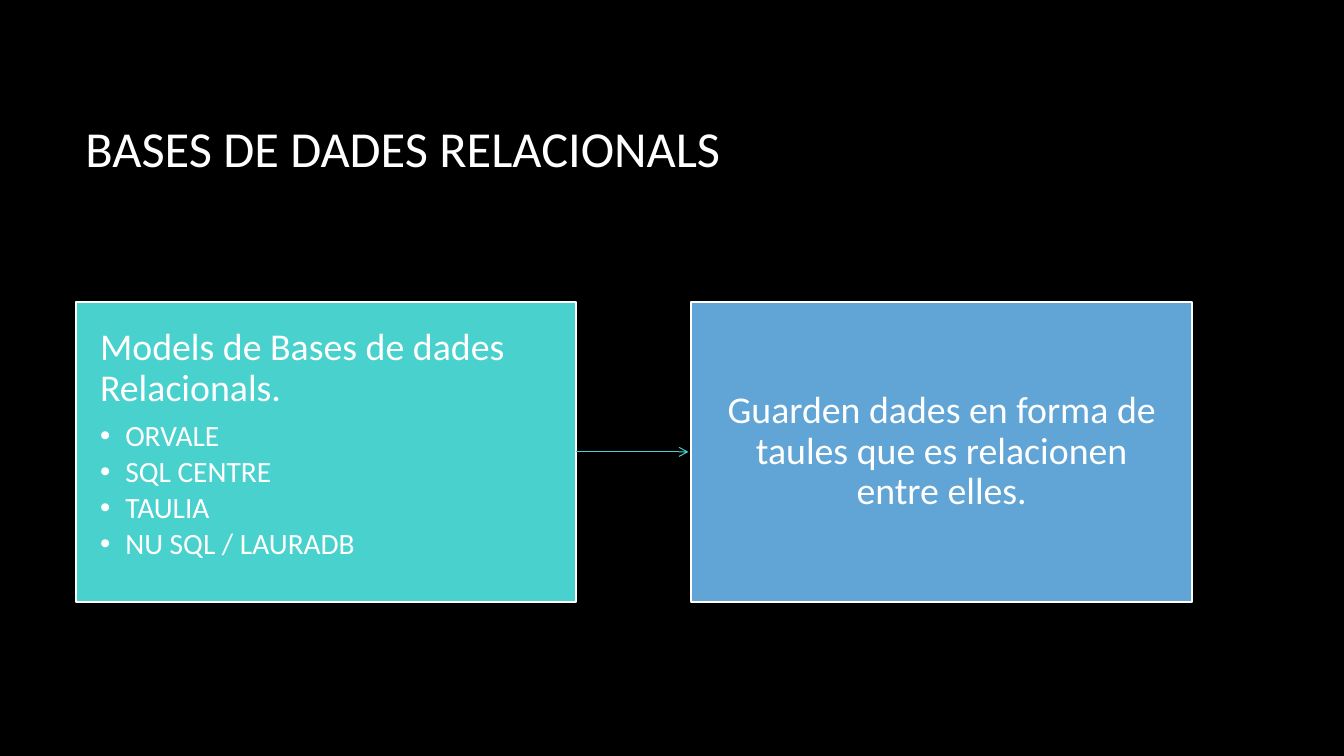
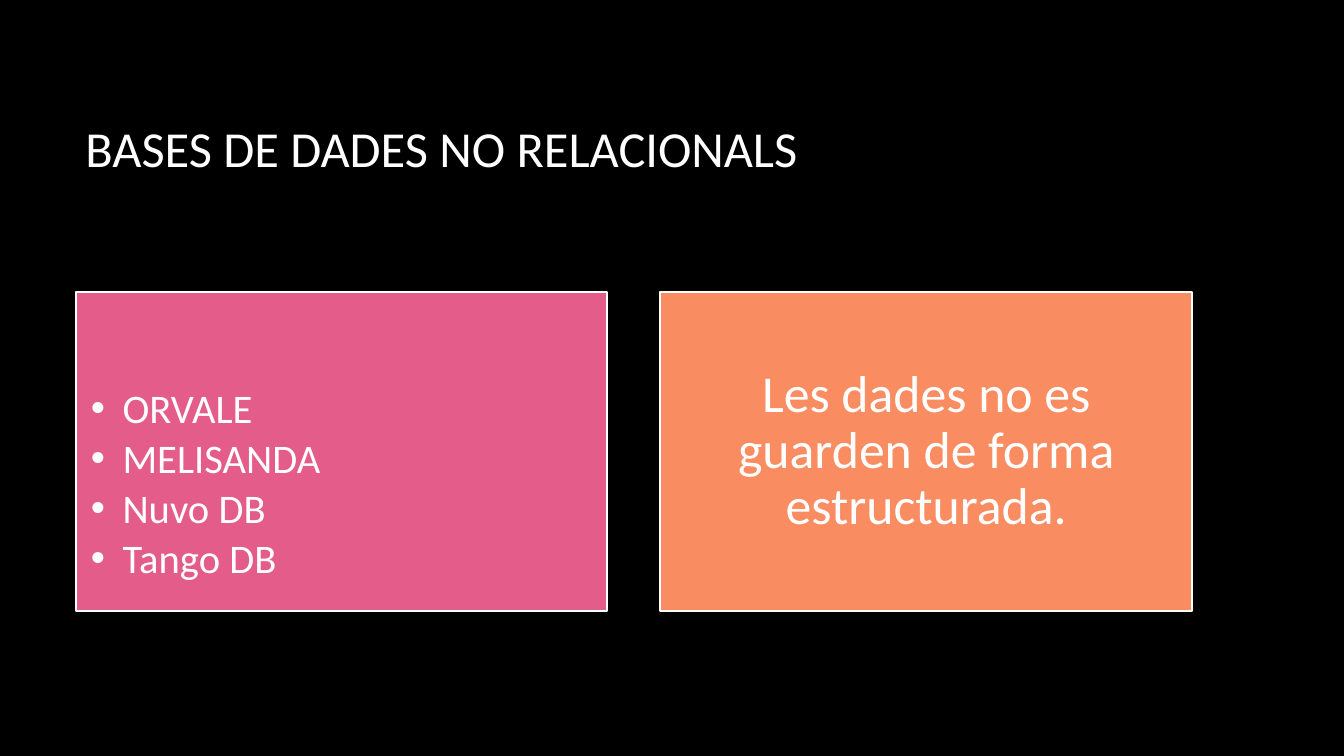
from dataclasses import dataclass

from lxml.etree import SubElement
from pptx import Presentation
from pptx.dml.color import RGBColor
from pptx.enum.shapes import MSO_CONNECTOR, MSO_SHAPE
from pptx.enum.text import MSO_ANCHOR, PP_ALIGN
from pptx.oxml.ns import qn
from pptx.util import Pt


@dataclass(frozen=True)
class Theme:
    font: str = "Calibri"
    background: str = "000000"
    text: str = "FFFFFF"
    turquoise: str = "49D1CD"
    blue: str = "61A5D6"
    pink: str = "E45C8A"
    orange: str = "F98C61"
    title_size: float = 36
    lead_size: float = 27
    list_size: float = 21
    large_lead_size: float = 37
    large_list_size: float = 29


THEME = Theme()
LEFT = 54
CONTENT_WIDTH = 797.5
PANEL_MIDDLE = 322.8
PANEL_RATIO = 0.6
LINE_SPACING = 0.9
LEAD_SPACE = 0.32
LIST_SPACE = 0.15


def color(value):
    return RGBColor.from_string(value)


def add_run(paragraph, text, size):
    run = paragraph.add_run()
    run.text = text
    run.font.name = THEME.font
    run.font.size = Pt(size)
    run.font.color.rgb = color(THEME.text)


def add_title(slide, text):
    title = slide.shapes.add_textbox(Pt(LEFT), Pt(48), Pt(CONTENT_WIDTH), Pt(114))
    frame = title.text_frame
    frame.word_wrap = True
    frame.vertical_anchor = MSO_ANCHOR.MIDDLE
    add_run(frame.paragraphs[0], text, THEME.title_size)


def add_panel_pair(slide, gap, fills):
    width = (CONTENT_WIDTH - gap) / 2
    height = width * PANEL_RATIO
    panels = []
    for index, fill in enumerate(fills):
        panel = slide.shapes.add_shape(
            MSO_SHAPE.RECTANGLE,
            Pt(LEFT + index * (width + gap)), Pt(PANEL_MIDDLE - height / 2),
            Pt(width), Pt(height),
        )
        panel.shadow.inherit = False
        panel.fill.solid()
        panel.fill.fore_color.rgb = color(fill)
        panel.line.color.rgb = color(THEME.text)
        panel.line.width = Pt(1.5)
        panels.append(panel)
    return panels


def set_frame(panel, side, top, bottom, anchor):
    frame = panel.text_frame
    frame.word_wrap = True
    frame.vertical_anchor = anchor
    frame.margin_left = frame.margin_right = Pt(side)
    frame.margin_top = Pt(top)
    frame.margin_bottom = Pt(bottom)
    return frame


def write_paragraph(paragraph, text, size, space, alignment):
    paragraph.alignment = alignment
    paragraph.line_spacing = LINE_SPACING
    paragraph.space_after = Pt(round(size * space, 1))
    add_run(paragraph, text, size)


def write_lead(frame, text, size, alignment):
    write_paragraph(frame.paragraphs[0], text, size, LEAD_SPACE, alignment)


def write_list(frame, items, size, indent):
    for item in items:
        first = frame.paragraphs[0]
        paragraph = frame.add_paragraph() if first.runs else first
        write_paragraph(paragraph, item, size, LIST_SPACE, PP_ALIGN.LEFT)
        properties = paragraph._p.get_or_add_pPr()
        properties.set("marL", str(Pt(indent)))
        properties.set("indent", str(-Pt(indent)))
        SubElement(properties, qn("a:buFont"), typeface="Arial")
        SubElement(properties, qn("a:buChar"), char="•")


def add_arrow(slide, source, target):
    middle = source.top + source.height // 2
    arrow = slide.shapes.add_connector(
        MSO_CONNECTOR.STRAIGHT,
        source.left + source.width, middle, target.left - Pt(2), middle,
    )
    arrow.begin_connect(source, 3)
    arrow.line.color.rgb = color(THEME.turquoise)
    arrow.line.width = Pt(0.75)
    SubElement(arrow.line._get_or_add_ln(), qn("a:tailEnd"), type="arrow")
    SubElement(arrow._element.spPr, qn("a:effectLst"))


def add_slide(presentation, title):
    slide = presentation.slides.add_slide(presentation.slide_layouts[6])
    add_title(slide, title)
    return slide


def add_relational_slide(presentation):
    slide = add_slide(presentation, "BASES DE DADES RELACIONALS")
    models, meaning = add_panel_pair(slide, 82, (THEME.turquoise, THEME.blue))
    add_arrow(slide, models, meaning)
    frame = set_frame(models, 17.5, 18.5, 18.5, MSO_ANCHOR.TOP)
    write_lead(frame, "Models de Bases de dades Relacionals.", THEME.lead_size, PP_ALIGN.LEFT)
    items = ("ORVALE", "SQL CENTRE", "TAULIA", "NU SQL / LAURADB")
    write_list(frame, items, THEME.list_size, 18)
    frame = set_frame(meaning, 17.5, 18.5, 18.5, MSO_ANCHOR.MIDDLE)
    write_lead(frame, "Guarden dades en forma de taules que es relacionen entre elles.",
               THEME.lead_size, PP_ALIGN.CENTER)


def add_non_relational_slide(presentation):
    slide = add_slide(presentation, "BASES DE DADES NO RELACIONALS")
    models, meaning = add_panel_pair(slide, 38, (THEME.pink, THEME.orange))
    frame = set_frame(models, 11, 68.5, 11, MSO_ANCHOR.TOP)
    items = ("ORVALE", "MELISANDA", "Nuvo DB", "Tango DB")
    write_list(frame, items, THEME.large_list_size, 22.5)
    frame = set_frame(meaning, 11, 11, 11, MSO_ANCHOR.MIDDLE)
    write_lead(frame, "Les dades no es guarden de forma estructurada.",
               THEME.large_lead_size, PP_ALIGN.CENTER)


def main():
    presentation = Presentation()
    presentation.slide_width = Pt(960)
    presentation.slide_height = Pt(540)
    background = presentation.slide_master.background.fill
    background.solid()
    background.fore_color.rgb = color(THEME.background)
    add_relational_slide(presentation)
    add_non_relational_slide(presentation)
    presentation.save("out.pptx")


if __name__ == "__main__":
    main()
